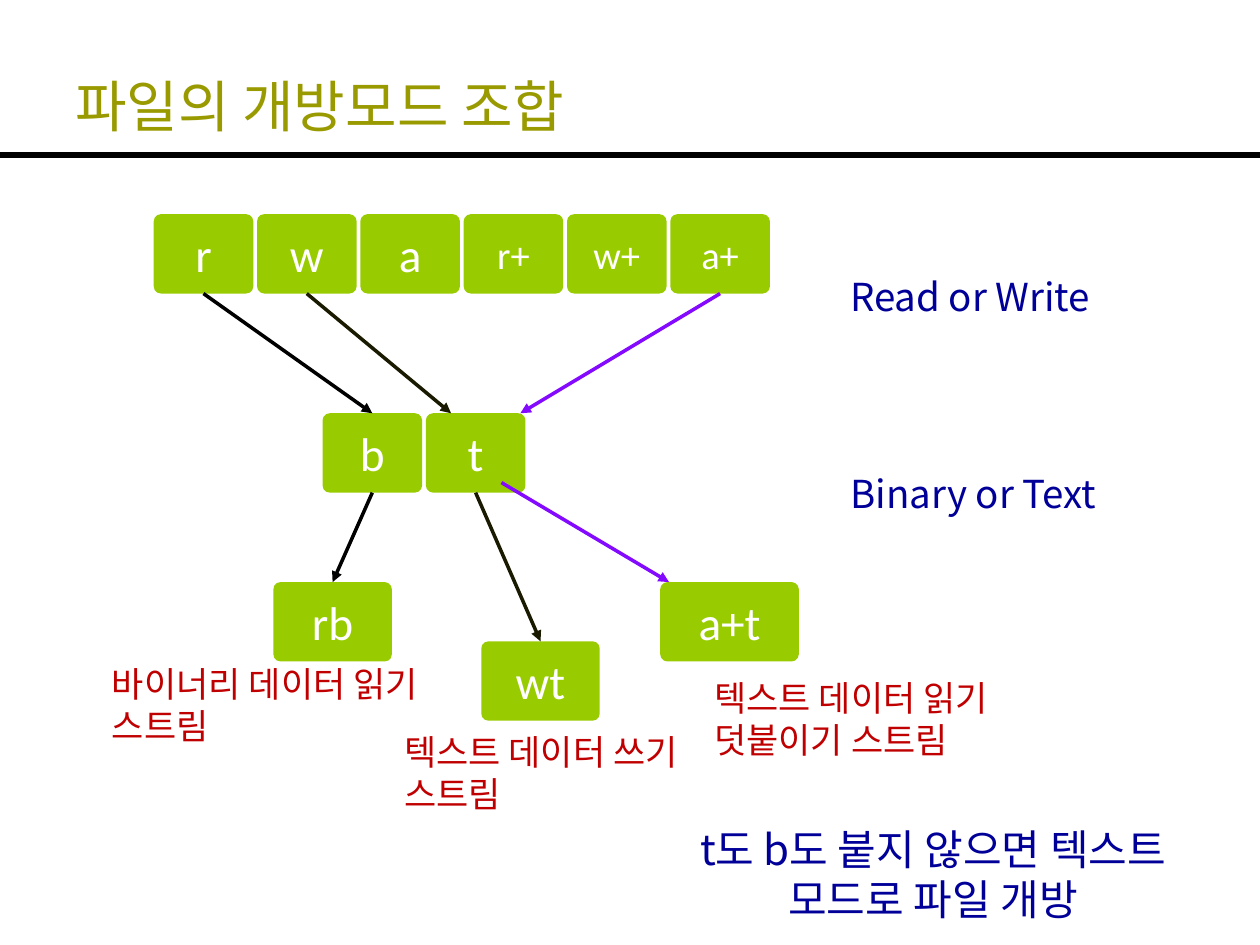
from lxml import etree
from pptx import Presentation, util as u
from pptx.dml.color import RGBColor
from pptx.enum import shapes, text
from pptx.oxml.ns import qn

deck = Presentation()
deck.slide_width, deck.slide_height = u.Inches(10), u.Inches(7.5)
page = deck.slides.add_slide(deck.slide_layouts[6])
COLUMN = deck.slide_width / 100
ROW = deck.slide_height / 75


def paint(color_format, color):
    color_format.rgb = RGBColor.from_string(color)


def write(box, words, size, font, color, align=text.PP_ALIGN.LEFT,
          anchor=text.MSO_ANCHOR.MIDDLE):
    frame = box.text_frame
    frame.word_wrap = True
    frame.vertical_anchor = anchor
    para = frame.paragraphs[0]
    para.text = words
    para.alignment = align
    para.font.size = u.Pt(size)
    para.font.name = font
    paint(para.font.color, color)
    return para


rule = page.shapes.add_connector(shapes.MSO_CONNECTOR.STRAIGHT, 0, int(12.3 * ROW),
                                 deck.slide_width, int(12.3 * ROW))
rule.line.width = u.Pt(3)
paint(rule.line.color, "000000")
etree.SubElement(rule._element.spPr, qn("a:effectLst"))

title = page.shapes.add_textbox(int(5 * COLUMN), int(3 * ROW), int(90 * COLUMN), int(8.5 * ROW))
write(title, "파일의 개방모드 조합", 32, "Vollkorn", "999900", anchor=text.MSO_ANCHOR.BOTTOM)

PITCH, WIDTH, HEIGHT = 8.2, 7.9, 6.3
blocks = [(12.2 + i * PITCH, 17, WIDTH, HEIGHT, mode)
          for i, mode in enumerate(["r", "w", "a", "r+", "w+", "a+"])]
blocks.append((7.5, 30.4, 59.1, 11, ""))
blocks += [(25.6 + i * PITCH, 32.8, WIDTH, HEIGHT, kind) for i, kind in enumerate("bt")]
blocks += [(21.7, 46.2, 9.4, HEIGHT, "rb"), (38.2, 50.9, 9.4, HEIGHT, "wt"),
           (52.4, 46.2, 11, HEIGHT, "a+t")]

boxes = {}
for left, top, width, height, mode in blocks:
    box = page.shapes.add_shape(shapes.MSO_SHAPE.ROUNDED_RECTANGLE, int(left * COLUMN),
                                int(top * ROW), int(width * COLUMN), int(height * ROW))
    box.adjustments[0] = 0.09 if mode else 0.05
    box.shadow.inherit = False
    box.fill.solid()
    paint(box.fill.fore_color, "99CC00" if mode else "FFFFFF")
    box.line.fill.background()
    if mode:
        size = 22 if mode in ("r+", "w+", "a+") else 27
        write(box, mode, size, "Calibri", "FFFFFF", text.PP_ALIGN.CENTER)
        boxes[mode] = box

BOTTOM, TOP = 2, 0
arrows = [
    ("r", "b", (16.1, 23.3), (29.5, 32.8), "000000"),
    ("b", "rb", (29.5, 39.1), (26.4, 46.2), "000000"),
    ("a+", None, (57.1, 23.3), (41.3, 32.8), "8409FF"),
    (None, None, (39.8, 38.3), (53.1, 46.2), "8409FF"),
    ("w", None, (24.3, 23.3), (35.8, 32.8), "191A00"),
    ("t", "wt", (37.7, 39.1), (42.9, 50.9), "191A00"),
]
for source, target, (x1, y1), (x2, y2), color in arrows:
    arrow = page.shapes.add_connector(shapes.MSO_CONNECTOR.STRAIGHT, int(x1 * COLUMN),
                                      int(y1 * ROW), int(x2 * COLUMN), int(y2 * ROW))
    if source:
        arrow.begin_connect(boxes[source], BOTTOM)
    if target:
        arrow.end_connect(boxes[target], TOP)
    arrow.line.width = u.Pt(2)
    paint(arrow.line.color, color)
    etree.SubElement(arrow.line._get_or_add_ln(), qn("a:tailEnd"), type="triangle")
    etree.SubElement(arrow._element.spPr, qn("a:effectLst"))

LEFT, CENTER = text.PP_ALIGN.LEFT, text.PP_ALIGN.CENTER
labels = [
    (66.5, 19.4, 22.8, 6.3, "Read or Write", 22, "000099", LEFT, 1.5),
    (66.5, 35.1, 22.8, 6.3, "Binary or Text", 22, "000099", LEFT, 1.5),
    (7.9, 53.6, 28.3, 4.7, "바이너리 데이터 읽기 스트림", 20, "C00000", LEFT, None),
    (31.1, 59, 28.3, 4.7, "텍스트 데이터 쓰기 스트림", 20, "C00000", LEFT, None),
    (55.7, 54.7, 33.1, 4.7, "텍스트 데이터 읽기 덧붙이기 스트림", 20, "C00000", LEFT, None),
    (52.4, 66.2, 43.3, 6.3, "t도 b도 붙지 않으면 텍스트 모드로 파일 개방", 24, "000099", CENTER, None),
]
for left, top, width, height, words, size, color, align, spacing in labels:
    label = page.shapes.add_textbox(int(left * COLUMN), int(top * ROW),
                                    int(width * COLUMN), int(height * ROW))
    para = write(label, words, size, "Noto Sans CJK KR", color, align)
    para.line_spacing = spacing

deck.save("out.pptx")
